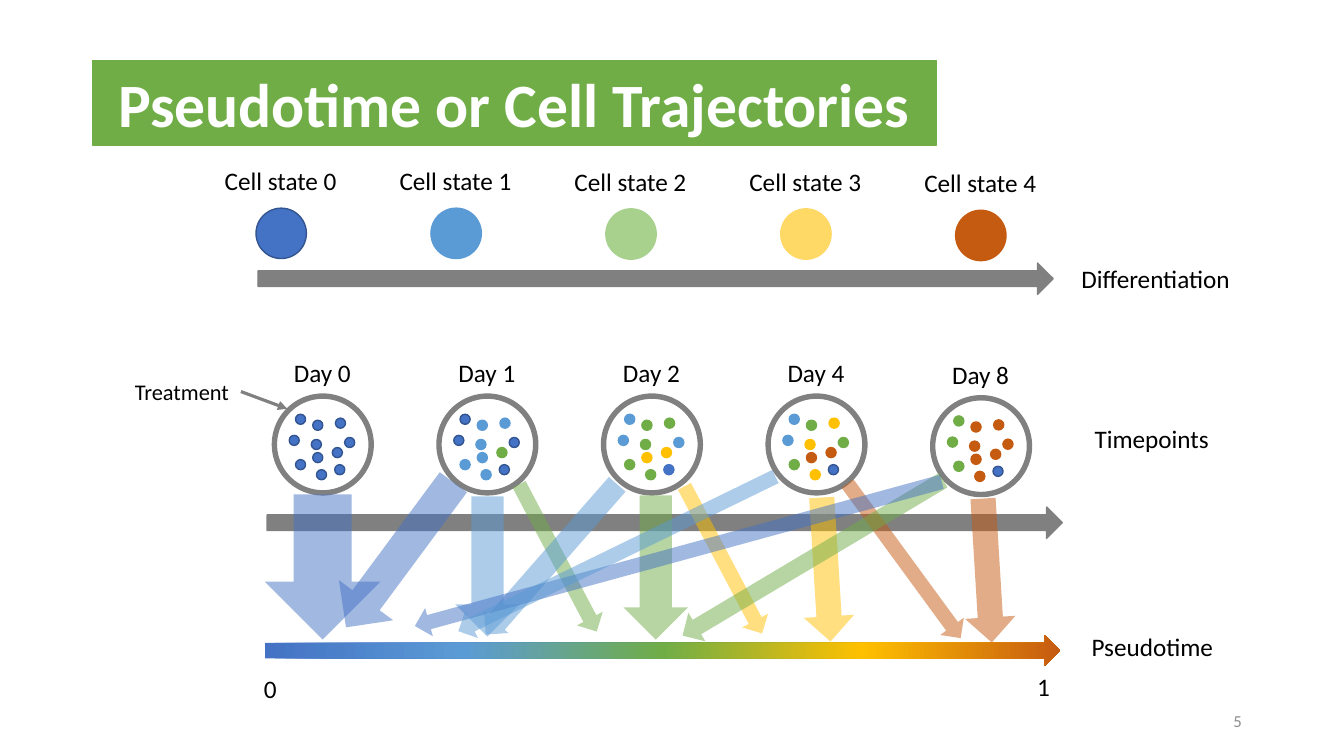
from dataclasses import dataclass

from lxml import etree
from pptx import Presentation
from pptx.dml.color import RGBColor
from pptx.enum.shapes import MSO_CONNECTOR, MSO_SHAPE
from pptx.enum.text import MSO_ANCHOR, MSO_AUTO_SIZE, PP_ALIGN
from pptx.oxml.ns import qn
from pptx.util import Pt

OVAL, RING, ARROW = MSO_SHAPE.OVAL, MSO_SHAPE.DONUT, MSO_SHAPE.RIGHT_ARROW
LINE = MSO_CONNECTOR.STRAIGHT
MIDDLE = MSO_ANCHOR.MIDDLE
FIT, FIXED = MSO_AUTO_SIZE.SHAPE_TO_FIT_TEXT, MSO_AUTO_SIZE.NONE
LEFT, CENTER, RIGHT = PP_ALIGN.LEFT, PP_ALIGN.CENTER, PP_ALIGN.RIGHT

FONT = "Calibri"
HEX = {
    "blue": "4472C4", "rim": "325491", "sky": "5B9BD5", "green": "70AD47",
    "gold": "FFC000", "rust": "C55A11", "pale": "A9D18E", "sand": "FFD966",
    "gray": "808080", "black": "000000", "white": "FFFFFF", "page": "8C8C8C",
}
CODE = {"B": "blue", "L": "sky", "G": "green", "Y": "gold", "O": "rust"}


@dataclass
class State:
    fill: str
    rim: str
    drop: float


@dataclass
class Day:
    name: str
    cells: str
    rim: str = "rim"
    drop: float = 0


@dataclass
class Flow:
    x: float
    y: float
    w: float
    h: float
    turn: float
    fill: str
    shaft: float = 0.5


@dataclass
class Label:
    text: str
    x: float
    y: float
    w: float


STATES = [
    State("blue", "rim", 0), State("sky", "sky", 0), State("pale", "pale", 0.5),
    State("sand", "sand", 0.5), State("rust", "rust", 1.5),
]
DAYS = [
    Day("Day 0", "BBBBBBBBBBB"),
    Day("Day 1", "BLLBLLGLLBB"),
    Day("Day 2", "LGGLGGYGYBL", rim="blue"),
    Day("Day 4", "LYGGGYOYOBL"),
    Day("Day 8", "GOGOOOOOOBG", drop=1.2),
]
# Cell places inside each dish
SPOTS = [
    (12, 29.5), (27.8, 32.4), (16.5, 46.8), (51.6, 31), (28.8, 18.7), (45, 17.2),
    (42.8, 38.2), (31.5, 54), (28.8, 41.8), (44.5, 50.4), (16.5, 14.4),
]
FLOWS = [
    Flow(178.6, 363.6, 103.7, 82.8, 90, "blue"),
    Flow(221, 372.2, 128.9, 48.2, 126.5, "blue"),
    Flow(298.1, 381.6, 100.1, 46.1, 90, "sky"),
    Flow(339.1, 388.1, 118.8, 20.9, 62.2, "green"),
    Flow(322.6, 388.1, 142.6, 23, 131.2, "sky", 0.69),
    Flow(416.9, 382.3, 103, 46.1, 90, "green"),
    Flow(457.2, 389.5, 118.8, 20.9, 62.2, "gold"),
    Flow(653.8, 389.5, 103, 36, 86.5, "rust"),
    Flow(577.4, 390.2, 136.8, 20.9, 53.8, "rust"),
    Flow(538.6, 388.8, 103, 36, 86.5, "gold"),
    Flow(472.3, 386.6, 216.7, 23.8, 149.2, "green"),
    Flow(289.4, 385.2, 390.2, 20.9, 164.7, "blue"),
    Flow(314.6, 385.2, 252, 20.9, 154, "sky"),
]
LABELS = [
    Label("Differentiation", 765.4, 184.3, 122.4),
    Label("Timepoints", 774.7, 298.8, 97.2),
    Label("Pseudotime", 772.6, 447.1, 102.2),
    Label("0", 181.4, 477.4, 23.8),
    Label("1", 733.7, 475.9, 23.8),
]


def rgb(name: str) -> RGBColor:
    return RGBColor.from_string(HEX[name])


def style(para, size: float, color: str, align=LEFT, bold: bool = False) -> None:
    para.alignment = align
    font = para.runs[0].font
    font.name, font.size, font.bold = FONT, Pt(size), bold
    font.color.rgb = rgb(color)


def write(host, text: str, x: float, y: float, w: float, h: float = 28.8, size: float = 18):
    box = host.add_textbox(Pt(x), Pt(y), Pt(w), Pt(h))
    frame = box.text_frame
    frame.text = text
    frame.word_wrap, frame.auto_size = False, FIT
    style(frame.paragraphs[0], size, "black")
    return box


def draw(host, kind, x: float, y: float, w: float, h: float, fill: str, rim: str = ""):
    shape = host.add_shape(kind, Pt(x), Pt(y), Pt(w), Pt(h))
    shape.shadow.inherit = False
    shape.fill.solid()
    shape.fill.fore_color.rgb = rgb(fill)
    if rim:
        shape.line.color.rgb = rgb(rim)
        shape.line.width = Pt(1)
    else:
        shape.line.fill.background()
    return shape


def blend(shape, names: list[str]) -> None:
    """Fill a shape with an even left-to-right gradient."""
    shape.fill.gradient()
    shape.fill.gradient_angle = 0
    stops = shape._element.spPr.find(qn("a:gradFill")).find(qn("a:gsLst"))
    for stop in list(stops):
        stops.remove(stop)
    for i, name in enumerate(names):
        stop = etree.SubElement(stops, qn("a:gs"), pos=str(100000 * i // (len(names) - 1)))
        etree.SubElement(stop, qn("a:srgbClr"), val=HEX[name])


def main() -> None:
    deck = Presentation()
    deck.slide_width, deck.slide_height = Pt(960), Pt(540)
    slide = deck.slides.add_slide(deck.slide_layouts[5])
    shapes = slide.shapes

    # Title in a rounded green banner
    title = shapes.title
    title.left, title.top, title.width, title.height = Pt(66.2), Pt(43.2), Pt(602.6), Pt(60.5)
    geom = etree.SubElement(title._element.spPr, qn("a:prstGeom"), prst="roundRect")
    etree.SubElement(geom, qn("a:avLst"))
    title.fill.solid()
    title.fill.fore_color.rgb = title.line.color.rgb = rgb("green")
    title.line.width = Pt(1)
    frame = title.text_frame
    frame.text = "Pseudotime or Cell Trajectories"
    frame.auto_size, frame.vertical_anchor = FIXED, MIDDLE
    style(frame.paragraphs[0], 44, "white", CENTER, True)

    # Dishes with their cells
    for i, day in enumerate(DAYS):
        dish = shapes.add_group_shape().shapes
        x, y = 194.6 + 117.55 * i, 281.5 + day.drop
        ring = draw(dish, RING, x, y, 72, 72, "gray", "gray")
        ring.adjustments[0] = 0.04
        for code, (dx, dy) in zip(day.cells, SPOTS):
            fill = CODE[code]
            rim = day.rim if code == "B" else fill
            draw(dish, OVAL, x + dx, y + dy, 7.2, 7.2, fill, rim)
        write(dish, day.name, x + 8.2, y - 29.5, 55.4)

    # Cell states
    for i, state in enumerate(STATES):
        cell = shapes.add_group_shape().shapes
        x = 182.9 + 124.93 * i
        draw(cell, OVAL, x, 148.7 + state.drop, 36, 36, state.fill, state.rim)
        write(cell, f"Cell state {i}", x - 29.5, 114.6 + state.drop, 95.8)

    # Treatment pointer
    note = write(shapes, "Treatment", 89.3, 266.4, 82.8, 26.6, 16)
    link = shapes.add_connector(LINE, Pt(172.1), Pt(279.7), Pt(205.2), Pt(292))
    link.begin_connect(note, 3)
    link.line.color.rgb = rgb("gray")
    link.line.width = Pt(2.25)
    etree.SubElement(link.line._get_or_add_ln(), qn("a:tailEnd"), type="triangle")
    etree.SubElement(link._element.spPr, qn("a:effectLst"))

    # Three long axes
    for x, y in ((184.3, 187.9), (190.8, 362.2)):
        draw(shapes, ARROW, x, y, 568, 22.3, "gray", "gray")
    axis = draw(shapes, ARROW, 189.4, 453.6, 568, 22.3, "blue")
    blend(axis, list(CODE.values()))

    # Flows from dishes to pseudotime
    for flow in FLOWS:
        arrow = draw(shapes, ARROW, flow.x, flow.y, flow.w, flow.h, flow.fill)
        arrow.rotation = flow.turn
        arrow.adjustments[0] = flow.shaft
        tint = arrow._element.spPr.find(qn("a:solidFill"))[0]
        etree.SubElement(tint, qn("a:alpha"), val="50000")

    # Axis labels and page number
    for label in LABELS:
        write(shapes, label.text, label.x, label.y, label.w)
    page = write(shapes, "5", 678.2, 500.4, 216)
    frame = page.text_frame
    frame.word_wrap, frame.auto_size, frame.vertical_anchor = True, FIXED, MIDDLE
    style(frame.paragraphs[0], 12, "page", RIGHT)

    deck.save("out.pptx")


if __name__ == "__main__":
    main()
